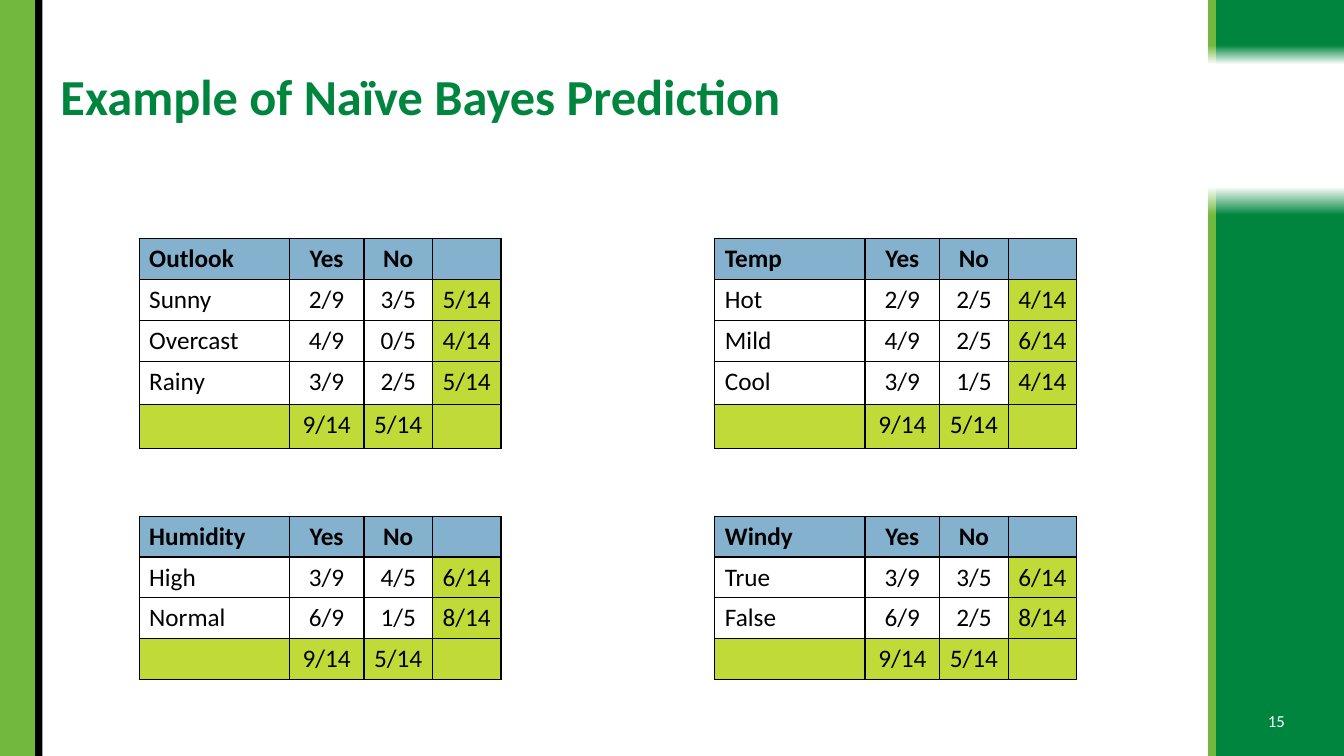
"""Build a slide of naïve Bayes frequency tables."""
import pptx
import pptx.dml.color
import pptx.enum.shapes
import pptx.enum.text
import pptx.oxml
import pptx.oxml.ns
import pptx.util
from pptx.util import Inches, Pt

RGBColor = pptx.dml.color.RGBColor
Align = pptx.enum.text.PP_ALIGN
Anchor = pptx.enum.text.MSO_ANCHOR

GREEN = RGBColor(0x00, 0x85, 0x3E)
LEAF = RGBColor(0x72, 0xB8, 0x3E)
BLUE = RGBColor(0x84, 0xB1, 0xCD)
LIME = RGBColor(0xC0, 0xDB, 0x37)
BLACK = RGBColor(0, 0, 0)
WHITE = RGBColor(255, 255, 255)

TITLE = "Example of Naïve Bayes Prediction"
PAGE_NUMBER = "15"
TOTALS = ("", "9/14", "5/14", "")
TABLE_GRID = [
    [
        ("Outlook", [("Sunny", "2/9", "3/5", "5/14"),
                     ("Overcast", "4/9", "0/5", "4/14"),
                     ("Rainy", "3/9", "2/5", "5/14")]),
        ("Temp", [("Hot", "2/9", "2/5", "4/14"),
                  ("Mild", "4/9", "2/5", "6/14"),
                  ("Cool", "3/9", "1/5", "4/14")]),
    ],
    [
        ("Humidity", [("High", "3/9", "4/5", "6/14"),
                      ("Normal", "6/9", "1/5", "8/14")]),
        ("Windy", [("True", "3/9", "3/5", "6/14"),
                   ("False", "6/9", "2/5", "8/14")]),
    ],
]
TABLE_LEFTS = (1.38, 7.09)
TABLE_TOPS = (2.37, 5.12)
COLUMN_WIDTHS = (1.49, 0.74, 0.68, 0.68)
ROW_HEIGHTS = ((0.4, 0.4, 0.4, 0.43, 0.43), (0.4, 0.4, 0.4, 0.4))

SOLID_BARS = [(0, 0.35, LEAF), (0.35, 0.07, BLACK)]
FADING_BARS = [(12.06, 1.27, GREEN), (11.98, 0.08, LEAF)]
FADING_PARTS = [(0, 0.64, 0, 0.7), (1.85, 5.65, 180, 0.95)]


def write(frame, text, size, color, bold=False, **paragraph_format):
    """Write one formatted paragraph into a text frame."""
    para = frame.paragraphs[0]
    for name, value in paragraph_format.items():
        setattr(para, name, value)
    span = para.add_run()
    span.text = text
    for name, value in {"name": "Calibri", "size": Pt(size), "bold": bold}.items():
        setattr(span.font, name, value)
    span.font.color.rgb = color


def add_bar(page, left, top, width, height):
    """Add a rectangle without line or shadow."""
    bar = page.shapes.add_shape(pptx.enum.shapes.MSO_SHAPE.RECTANGLE,
                                *map(Inches, (left, top, width, height)))
    bar.shadow.inherit = False
    bar.line.fill.background()
    return bar


def add_side_bars(page):
    """Add the solid bars on the left and the fading bars on the right."""
    for left, width, color in SOLID_BARS:
        bar = add_bar(page, left, 0, width, 7.5)
        bar.fill.solid()
        bar.fill.fore_color.rgb = color
    for left, width, color in FADING_BARS:
        for top, height, rotation, fade_start in FADING_PARTS:
            bar = add_bar(page, left, top, width, height)
            bar.rotation = rotation
            bar.fill.gradient()
            bar.fill.gradient_angle = 270
            stops = zip(bar.fill.gradient_stops, (fade_start, 1), (color, WHITE))
            for stop, position, stop_color in stops:
                stop.position = position
                stop.color.rgb = stop_color


def add_borders(cell):
    """Draw a thin black line on all four sides of a cell."""
    properties = cell._tc.get_or_add_tcPr()
    for side in ("lnL", "lnR", "lnT", "lnB"):
        properties.append(pptx.oxml.parse_xml(
            f'<a:{side} {pptx.oxml.ns.nsdecls("a")} w="{Pt(1)}">'
            f'<a:solidFill><a:srgbClr val="{BLACK}"/></a:solidFill></a:{side}>'))


def add_frequency_table(page, left, top, heights, feature, counts):
    """Add a table with a header, counts and lime totals."""
    rows = [(feature, "Yes", "No", ""), *counts, TOTALS]
    frame = page.shapes.add_table(
        len(rows), len(COLUMN_WIDTHS), Inches(left), Inches(top),
        Inches(sum(COLUMN_WIDTHS)), Inches(sum(heights)))
    table = frame.table
    table.first_row = table.horz_banding = False
    for column, width in zip(table.columns, COLUMN_WIDTHS):
        column.width = Inches(width)
    for row, height in zip(table.rows, heights):
        row.height = Inches(height)
    for r, row in enumerate(rows):
        for c, text in enumerate(row):
            cell = table.cell(r, c)
            add_borders(cell)
            is_total = r == len(rows) - 1 or c == len(row) - 1
            if r == 0 or is_total:
                cell.fill.solid()
                cell.fill.fore_color.rgb = LIME if r else BLUE
            else:
                cell.fill.background()
            if text:
                write(cell.text_frame, text, 18, BLACK, bold=r == 0,
                      alignment=Align.CENTER if c else Align.LEFT)


def main():
    """Assemble and save the slide."""
    deck = pptx.Presentation()
    deck.slide_width, deck.slide_height = Inches(13.33), Inches(7.5)
    page = deck.slides.add_slide(deck.slide_layouts[5])
    add_side_bars(page)

    title = page.shapes.title
    number = page.shapes.add_textbox(0, 0, 0, 0)
    for box, place in ((title, (0.5, 0.4, 11.4, 1.16)),
                       (number, (12.4, 6.95, 0.52, 0.4))):
        box.left, box.top, box.width, box.height = map(Inches, place)
        frame_format = {"word_wrap": True, "vertical_anchor": Anchor.MIDDLE,
                        "auto_size": pptx.enum.text.MSO_AUTO_SIZE.NONE}
        for name, value in frame_format.items():
            setattr(box.text_frame, name, value)
    write(title.text_frame, TITLE, 36, GREEN, bold=True,
          alignment=Align.LEFT, line_spacing=0.9)
    write(number.text_frame, PAGE_NUMBER, 12, WHITE, alignment=Align.CENTER)

    for top, heights, tables in zip(TABLE_TOPS, ROW_HEIGHTS, TABLE_GRID):
        for left, (feature, counts) in zip(TABLE_LEFTS, tables):
            add_frequency_table(page, left, top, heights, feature, counts)
    deck.save("out.pptx")


if __name__ == "__main__":
    main()
